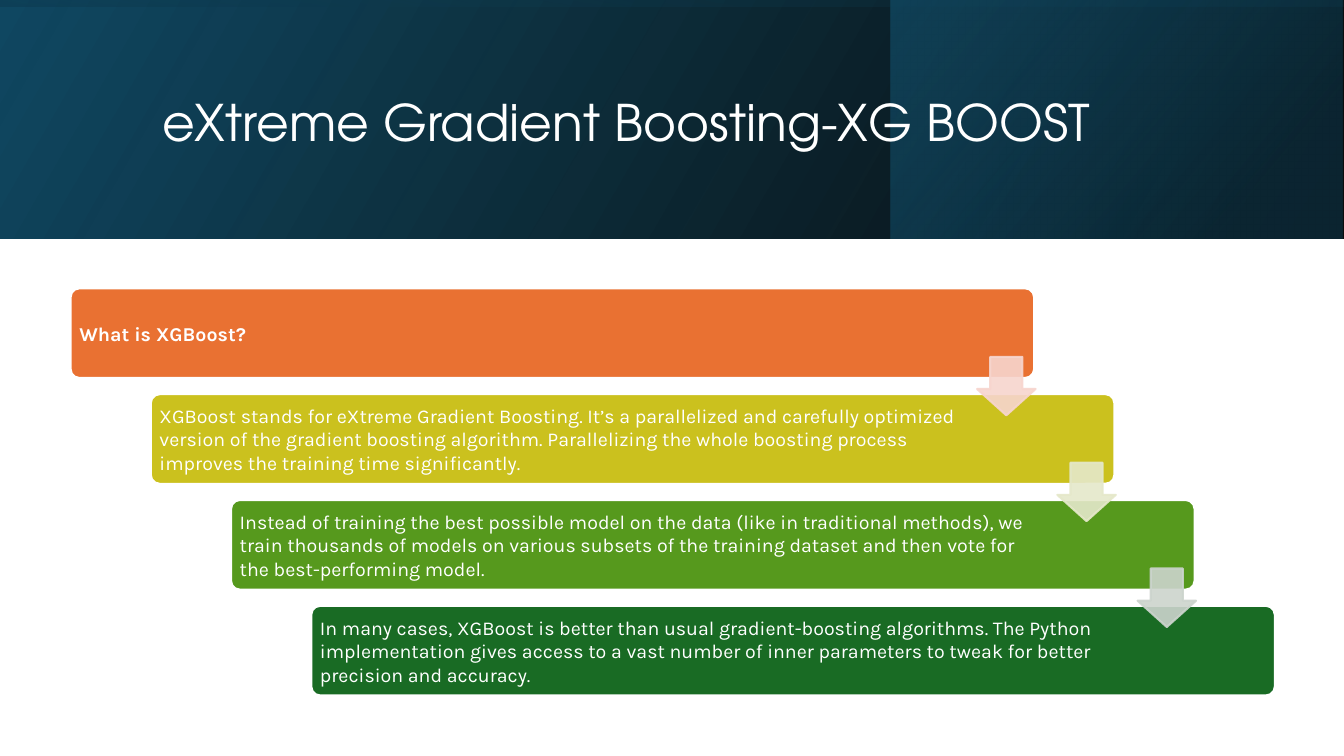
import pptx
import pptx.util
import pptx.oxml.ns
import pptx.dml.color
import pptx.enum.shapes
import pptx.enum.text
import lxml.etree

HUES = {
    "white": "FFFFFF", "black": "000000", "navy": "104862", "deep": "0B3041", "teal": "156082",
    "orange": "E97132", "lime": "CBC11E", "leaf": "56991D", "pine": "196B24",
    "blush": "F7D5CE", "cream": "E5E8CA", "mist": "CCD4CD",
}
KIND = pptx.enum.shapes.MSO_SHAPE

deck = pptx.Presentation()
deck.slide_width = pptx.util.Inches(13.33)
deck.slide_height = pptx.util.Inches(7.5)
slide = deck.slides.add_slide(deck.slide_layouts[6])
col = deck.slide_width / 100
row = deck.slide_height / 100


def tint(color, hue, alpha=100):
    color.rgb = pptx.dml.color.RGBColor.from_string(HUES[hue])
    if alpha < 100:
        for node in color._xFill.iter(pptx.oxml.ns.qn("a:srgbClr")) if hasattr(color, "_xFill") else []:
            lxml.etree.SubElement(node, pptx.oxml.ns.qn("a:alpha"), val=str(alpha * 1000))


def write(x, y, w, h, words, face, size, bold=False):
    box = slide.shapes.add_textbox(*(int(n) for n in (x * col, y * row, w * col, h * row)))
    frame = box.text_frame
    frame.word_wrap = True
    frame.vertical_anchor = pptx.enum.text.MSO_ANCHOR.MIDDLE
    run = frame.paragraphs[0].add_run()
    run.text = words
    run.font.name = face
    run.font.size = pptx.util.Pt(size)
    run.font.bold = bold
    tint(run.font.color, "white")
    return frame


band = 31.6
tall = band * row / col
wide = 100 * col / row
bands = [
    (0, 0, 100, band, 0, 30, [(0, "black", 96), (1, "navy", 100)]),
    (66.3, 0, 33.6, band, 0, 40, [(0.19, "deep", 68), (1, "teal", 48)]),
    (50 - tall / 2, (band - wide) / 2, tall, wide, 270, 10, [(0.23, "navy", 16), (0.99, "black", 45)]),
]
for x, y, w, h, turn, angle, stops in bands:
    shape = slide.shapes.add_shape(KIND.RECTANGLE, *(int(n) for n in (x * col, y * row, w * col, h * row)))
    shape.shadow.inherit = False
    shape.line.fill.background()
    shape.rotation = turn
    shape._element.spPr.xfrm.set("flipH", "1")
    shape.fill.gradient()
    shape.fill.gradient_angle = angle
    for stop, (place, hue, alpha) in zip(shape.fill.gradient_stops, stops):
        stop.position = place
        tint(stop.color, hue)
        node = stop._gs.find(pptx.oxml.ns.qn("a:srgbClr"))
        lxml.etree.SubElement(node, pptx.oxml.ns.qn("a:alpha"), val=str(alpha * 1000))

title = write(11.33, 5.07, 79.75, 22.93, "eXtreme Gradient Boosting-XG BOOST", "TeX Gyre Adventor", 36)
title.paragraphs[0].line_spacing = 0.9

left, top, right, down = 5.25, 38.13, 5.97, 14
steps = [
    ("orange", 64, "What is XGBoost?"),
    ("lime", 61, "XGBoost stands for eXtreme Gradient Boosting. It’s a parallelized and carefully optimized version of the gradient boosting algorithm. Parallelizing the whole boosting process improves the training time significantly."),
    ("leaf", 61, "Instead of training the best possible model on the data (like in traditional methods), we train thousands of models on various subsets of the training dataset and then vote for the best-performing model."),
    ("pine", 61, "In many cases, XGBoost is better than usual gradient-boosting algorithms. The Python implementation gives access to a vast number of inner parameters to tweak for better precision and accuracy."),
]
cards = [(KIND.ROUNDED_RECTANGLE, i, 0, 0, 71.7, 11.87, [0.1], step[0], "white", 100) for i, step in enumerate(steps)]
arrows = [(KIND.DOWN_ARROW, i, 67.45, 9.07, 4.35, 7.73, [0.55, 0.45], hue, hue, 90)
          for i, hue in enumerate(["blush", "cream", "mist"])]

for kind, i, dx, dy, w, h, bends, hue, edge, alpha in cards + arrows:
    x = left + i * right + dx
    y = top + i * down + dy
    shape = slide.shapes.add_shape(kind, *(int(n) for n in (x * col, y * row, w * col, h * row)))
    shape.shadow.inherit = False
    for n, bend in enumerate(bends):
        shape.adjustments[n] = bend
    shape.fill.solid()
    tint(shape.fill.fore_color, hue)
    tint(shape.line.color, edge)
    shape.line.width = pptx.util.Pt(1.5)
    if alpha < 100:
        for node in shape._element.spPr.iter(pptx.oxml.ns.qn("a:srgbClr")):
            lxml.etree.SubElement(node, pptx.oxml.ns.qn("a:alpha"), val=str(alpha * 1000))
    if kind == KIND.ROUNDED_RECTANGLE:
        frame = write(x + 0.2, y + 0.35, steps[i][1], 11.2, steps[i][2], "Karla", 14, i == 0)
        inset = pptx.util.Inches(0.06)
        frame.margin_left = frame.margin_right = frame.margin_top = frame.margin_bottom = inset

deck.save("out.pptx")
